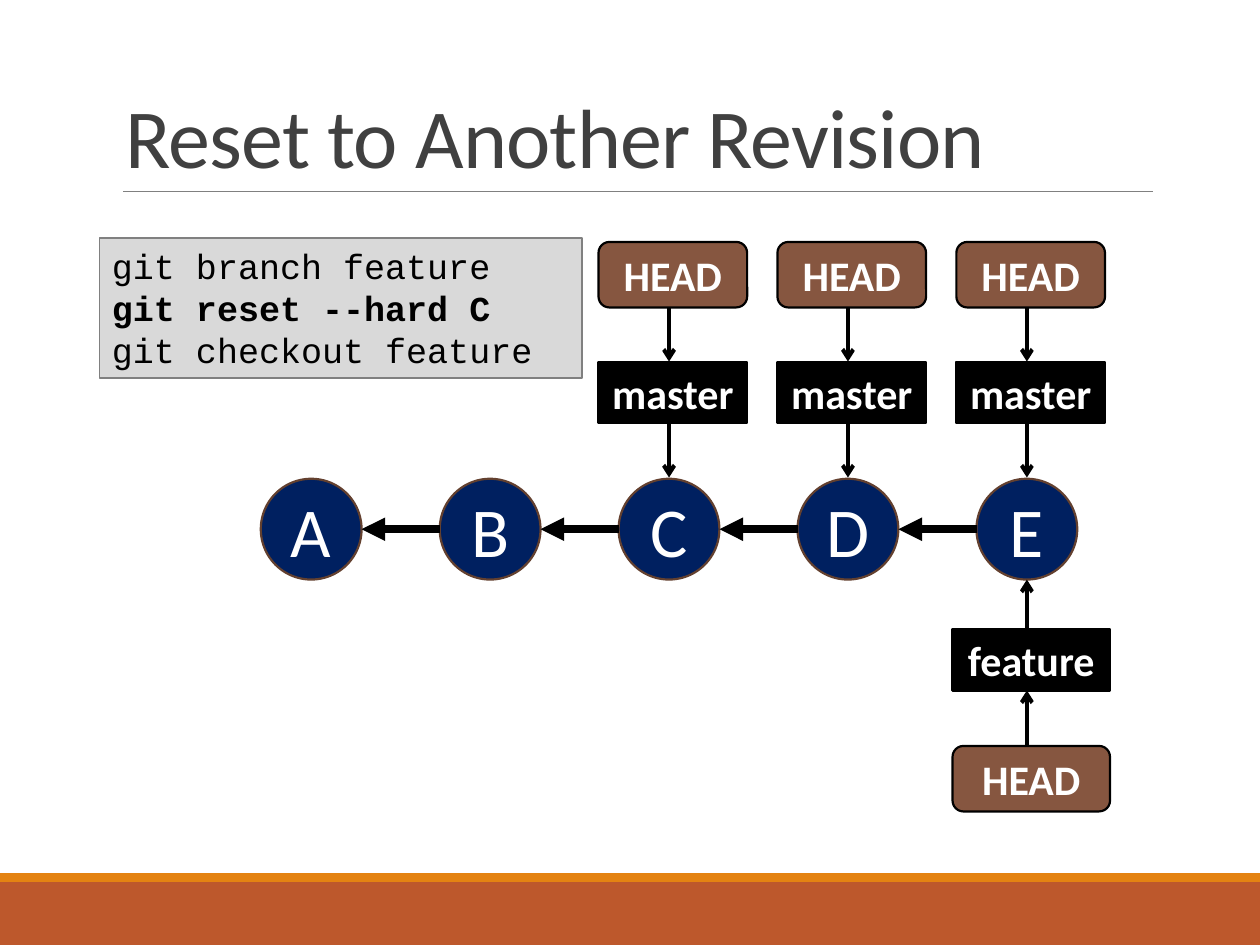
from pptx import Presentation
from pptx.dml.color import RGBColor as Rgb
from pptx.enum.shapes import MSO_CONNECTOR as Link, MSO_SHAPE as Kind
from pptx.enum.text import MSO_ANCHOR as Anchor, PP_ALIGN as Align
from pptx.oxml.ns import qn
from pptx.util import Emu, Pt
from lxml.etree import SubElement as Sub

WHITE = Rgb(0xFF, 0xFF, 0xFF)
BLACK = Rgb(0, 0, 0)
DARK = Rgb(0x40, 0x40, 0x40)
GRAY = Rgb(0x80, 0x80, 0x80)
PALE = Rgb(0xD9, 0xD9, 0xD9)
NAVY = Rgb(0, 0x20, 0x60)
BROWN = Rgb(0x86, 0x56, 0x40)
UMBER = Rgb(0x63, 0x40, 0x2F)
RUST = Rgb(0xBD, 0x58, 0x2C)
AMBER = Rgb(0xE4, 0x83, 0x12)
PX = 9144


class Deck:
    font = "Calibri"
    mono = "Courier New"

    def __init__(self):
        self.file = Presentation()
        self.file.slide_width = Emu(1000 * PX)
        self.file.slide_height = Emu(750 * PX)
        self.slide = self.file.slides.add_slide(self.file.slide_layouts[6])

    def px(self, *nums):
        return [Emu(num * PX) for num in nums]

    def style(self, para, size, color, bold=False, face=None):
        font = para.font
        font.name = face or self.font
        font.size = Pt(size)
        font.bold = bold
        font.color.rgb = color

    def shape(self, kind, box, fill, edge=None, width=1.25):
        item = self.slide.shapes.add_shape(kind, *self.px(*box))
        item.shadow.inherit = False
        item.fill.solid()
        item.fill.fore_color.rgb = fill
        if edge is None:
            item.line.fill.background()
        else:
            item.line.color.rgb = edge
            item.line.width = Pt(width)
        return item

    def label(self, kind, box, text, fill, edge=BLACK, size=24, bold=True):
        frame = self.shape(kind, box, fill, edge).text_frame
        frame.word_wrap = False
        frame.vertical_anchor = Anchor.MIDDLE
        para = frame.paragraphs[0]
        para.text = text
        para.alignment = Align.CENTER
        self.style(para, size, WHITE, bold)

    def commit(self, left, text):
        self.label(Kind.OVAL, (left, 380, 80, 80), text, NAVY, UMBER, 40, False)

    def branch(self, left, top, width, text):
        self.label(Kind.RECTANGLE, (left, top, width, 49), text, BLACK)

    def head(self, left, top, width):
        self.label(Kind.ROUNDED_RECTANGLE, (left, top, width, 52), "HEAD", BROWN)

    def line(self, ends, width, color=BLACK, tip=None):
        item = self.slide.shapes.add_connector(Link.STRAIGHT, *self.px(*ends))
        item.line.color.rgb = color
        item.line.width = Pt(width)
        if tip:
            Sub(item.line._get_or_add_ln(), qn("a:tailEnd"), type=tip)
        Sub(item._element.spPr, qn("a:effectLst"))

    def title(self, box, text):
        frame = self.slide.shapes.add_textbox(*self.px(*box)).text_frame
        frame.word_wrap = True
        frame.vertical_anchor = Anchor.BOTTOM
        para = frame.paragraphs[0]
        para.line_spacing = 0.85
        run = para.add_run()
        run.text = text
        run._r.get_or_add_rPr().set("spc", "-50")
        self.style(para, 48, DARK)

    def code(self, box, rows, strong):
        frame = self.shape(Kind.RECTANGLE, box, PALE, GRAY, 1).text_frame
        frame.word_wrap = True
        frame.vertical_anchor = Anchor.TOP
        frame.text = "\n".join(rows)
        for row, para in enumerate(frame.paragraphs):
            para.alignment = Align.LEFT
            self.style(para, 20, BLACK, row == strong, self.mono)


def main():
    deck = Deck()
    deck.shape(Kind.RECTANGLE, (0, 700, 1000, 50), RUST)
    deck.shape(Kind.RECTANGLE, (0, 693, 1000, 7), AMBER)
    deck.line((98, 152, 915, 152), 0.5, GRAY)
    deck.title((90, 31, 825, 121), "Reset to Another Revision")

    for num, name in enumerate("ABCDE"):
        left = 207 + 142 * num
        mid = left + 40
        deck.commit(left, name)
        if name > "A":
            deck.line((left, 420, left - 62, 420), 4.5, tip="triangle")
        if name >= "C":
            deck.head(left - 16, 192, 118)
            deck.branch(left - 16, 287, 118, "master")
            deck.line((mid, 244, mid, 287), 2.25, tip="arrow")
            deck.line((mid, 336, mid, 379), 2.25, tip="arrow")

    deck.branch(756, 499, 125, "feature")
    deck.head(756, 592, 125)
    deck.line((mid, 499, mid, 460), 2.25, tip="arrow")
    deck.line((mid, 591, mid, 548), 2.25, tip="arrow")

    rows = ["git branch feature", "git reset --hard C", "git checkout feature"]
    deck.code((79, 189, 383, 111), rows, 1)
    deck.file.save("out.pptx")


if __name__ == "__main__":
    main()
